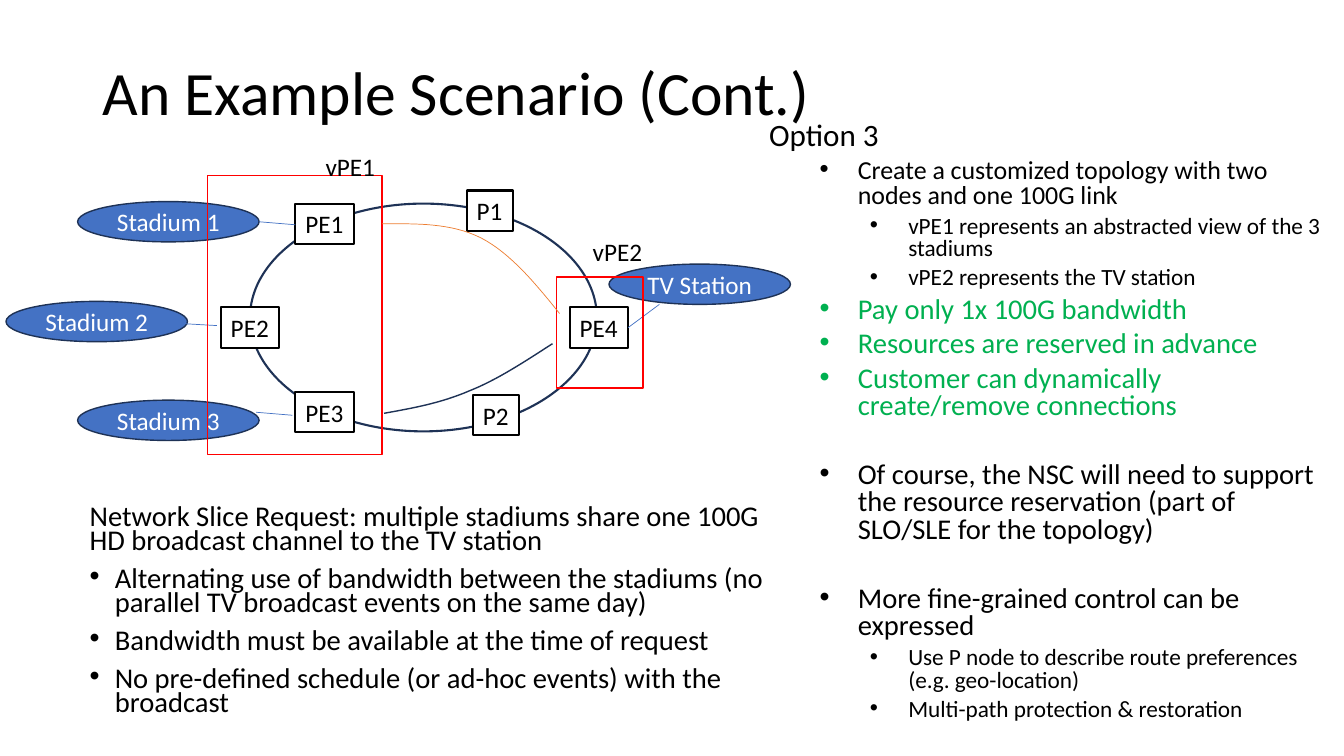
"""Build the slide on a shared broadcast slice with two abstract nodes."""
from lxml.etree import SubElement
from pptx import Presentation
from pptx.dml.color import RGBColor
from pptx.enum.shapes import MSO_CONNECTOR as Link, MSO_SHAPE as Kind
from pptx.enum.text import MSO_ANCHOR as Anchor, PP_ALIGN as Align
from pptx.oxml.ns import qn
from pptx.util import Inches, Pt

BLACK, WHITE, BLUE, NAVY = "000000", "FFFFFF", "4472C4", "1E3256"
RED, GREEN, ORANGE = "FF0000", "00B050", "ED7D31"

TITLE = "An Example Scenario (Cont.)"
REQUEST = [
    (0, "Network Slice Request: multiple stadiums share one 100G HD broadcast channel to the TV station"),
    (1, "Alternating use of bandwidth between the stadiums (no parallel TV broadcast events on the same day)"),
    (1, "Bandwidth must be available at the time of request"),
    (1, "No pre-defined schedule (or ad-hoc events) with the broadcast"),
]
OPTION = [
    (0, "Option 3", 22.2, BLACK, 10),
    (1, "Create a customized topology with two nodes and one 100G link", 18.5, BLACK, 5),
    (2, "vPE1 represents an abstracted view of the 3 stadiums", 16.6, BLACK, 5),
    (2, "vPE2 represents the TV station", 16.6, BLACK, 5),
    (1, "Pay only 1x 100G bandwidth", 20.4, GREEN, 5),
    (1, "Resources are reserved in advance", 20.4, GREEN, 5),
    (1, "Customer can dynamically create/remove connections", 20.4, GREEN, 5),
    (1, "Of course, the NSC will need to support the resource reservation (part of SLO/SLE for the topology)",
     20.4, BLACK, 29.6),
    (1, "More fine-grained control can be expressed", 20.4, BLACK, 29.6),
    (2, "Use P node to describe route preferences (e.g. geo-location)", 16.6, BLACK, 5),
    (2, "Multi-path protection & restoration", 16.6, BLACK, 5),
]
NODES = [
    ("PE1", 2.93, 2.02, 0.58), ("PE2", 2.19, 3.05, 0.58), ("PE3", 2.93, 3.89, 0.58),
    ("PE4", 5.65, 3.05, 0.58), ("P1", 4.63, 1.89, 0.46), ("P2", 4.69, 3.92, 0.46),
]
SITES = [("Stadium 1", 0.77, 2), ("Stadium 2", 0.06, 2.99),
         ("Stadium 3", 0.77, 3.97), ("TV Station", 6.04, 2.62)]
LINKS = [(2.57, 2.2, 2.93, 2.23), (1.8, 3.21, 2.15, 3.23),
         (2.54, 4.09, 2.9, 4.12), (6.23, 3.25, 6.54, 3.02)]
GROUPS = [("vPE1", (3.13, 1.45), (2.06, 1.74, 1.73, 2.77)),
          ("vPE2", (5.78, 2.3), (5.52, 2.75, 0.86, 1.1))]
CURVES = [
    (ORANGE, 0.5, [(3.79, 2.22), (4.13, 2.22), (4.47, 2.21), (4.77, 2.36),
                   (5.06, 2.51), (5.31, 2.81), (5.55, 3.11)]),
    (NAVY, 1, [(3.81, 4.1), (4.09, 4.05), (4.37, 4), (4.65, 3.88),
               (4.93, 3.77), (5.2, 3.59), (5.48, 3.41)]),
]
STEPS = 16

deck = Presentation()
deck.slide_width, deck.slide_height = Inches(13.33), Inches(7.5)
slide = deck.slides.add_slide(deck.slide_layouts[6])
shapes = slide.shapes


def color(code):
    return RGBColor.from_string(code)


def paint(shape, fill, line, width):
    if fill:
        shape.fill.solid()
        shape.fill.fore_color.rgb = color(fill)
    else:
        shape.fill.background()
    shape.line.color.rgb = color(line)
    shape.line.width = Pt(width)


def draw(kind, box, fill, line, width):
    shape = shapes.add_shape(kind, *map(Inches, box))
    shape.shadow.inherit = False
    paint(shape, fill, line, width)
    return shape


def style(para, text, size=18, ink=BLACK):
    para.text = text
    para.font.name = "Calibri"
    para.font.size = Pt(size)
    para.font.color.rgb = color(ink)


def label(text, box, size=18, wrap=True):
    shape = shapes.add_textbox(*map(Inches, box))
    shape.text_frame.word_wrap = wrap
    style(shape.text_frame.paragraphs[0], text, size)
    return shape


def bullet(para, left, hang):
    props = para._p.get_or_add_pPr()
    props.set("marL", str(Inches(left)))
    props.set("indent", str(-Inches(hang)))
    SubElement(props, qn("a:buFont")).set("typeface", "Arial")
    SubElement(props, qn("a:buChar")).set("char", "•")


def outline(box, rows, spacing, first, step, hang):
    frame = shapes.add_textbox(*map(Inches, box)).text_frame
    frame.word_wrap = True
    for i, (level, text, size, ink, gap) in enumerate(rows):
        para = frame.add_paragraph() if i else frame.paragraphs[0]
        if level:
            para.level = level
            bullet(para, first + step * (level - 1), hang)
        para.line_spacing = spacing
        para.space_before = Pt(gap)
        style(para, text, size, ink)


def bezier(a, b, c, d, t):
    u = 1 - t
    return tuple(Inches(u**3 * p + 3 * u * u * t * q + 3 * u * t * t * r + t**3 * s)
                 for p, q, r, s in zip(a, b, c, d))


def curve(ink, width, knots):
    spots = [bezier(*knots[k:k + 4], n / STEPS)
             for k in (0, 3) for n in range(1, STEPS + 1)]
    path = shapes.build_freeform(*map(Inches, knots[0]))
    path.add_line_segments(spots, close=False)
    shape = path.convert_to_shape()
    shape.shadow.inherit = False
    paint(shape, None, ink, width)


draw(Kind.OVAL, (2.48, 2.02, 3.44, 2.26), None, NAVY, 1.5)

title = label(TITLE, (0.92, 0.4, 11.5, 1.1), 44).text_frame
title.vertical_anchor = Anchor.MIDDLE
title.paragraphs[0].line_spacing = 0.9
outline((0.79, 4.98, 7.09, 2.37), [(*row, 20.4, BLACK, 10) for row in REQUEST], 0.7, 0.25, 0, 0.25)

for name, x, y, wide in NODES:
    paint(label(name, (x, y, wide, 0.4), wrap=False), WHITE, BLACK, 1.5)

for name, x, y in SITES:
    site = draw(Kind.OVAL, (x, y, 1.8, 0.4), BLUE, NAVY, 1).text_frame
    site.vertical_anchor = Anchor.MIDDLE
    style(site.paragraphs[0], name, ink=WHITE)
    site.paragraphs[0].alignment = Align.CENTER

for ends in LINKS:
    link = shapes.add_connector(Link.STRAIGHT, *map(Inches, ends))
    link.line.color.rgb = color(BLUE)
    link.line.width = Pt(0.5)
    SubElement(link._element.spPr, qn("a:effectLst"))

outline((7.53, 1.17, 5.72, 6.33), OPTION, 0.8, 0.88, 0.5, 0.38)

for name, spot, box in GROUPS:
    draw(Kind.RECTANGLE, box, None, RED, 1)
    label(name, (*spot, 0.75, 0.4))

for ink, width, knots in CURVES:
    curve(ink, width, knots)

deck.save("out.pptx")
